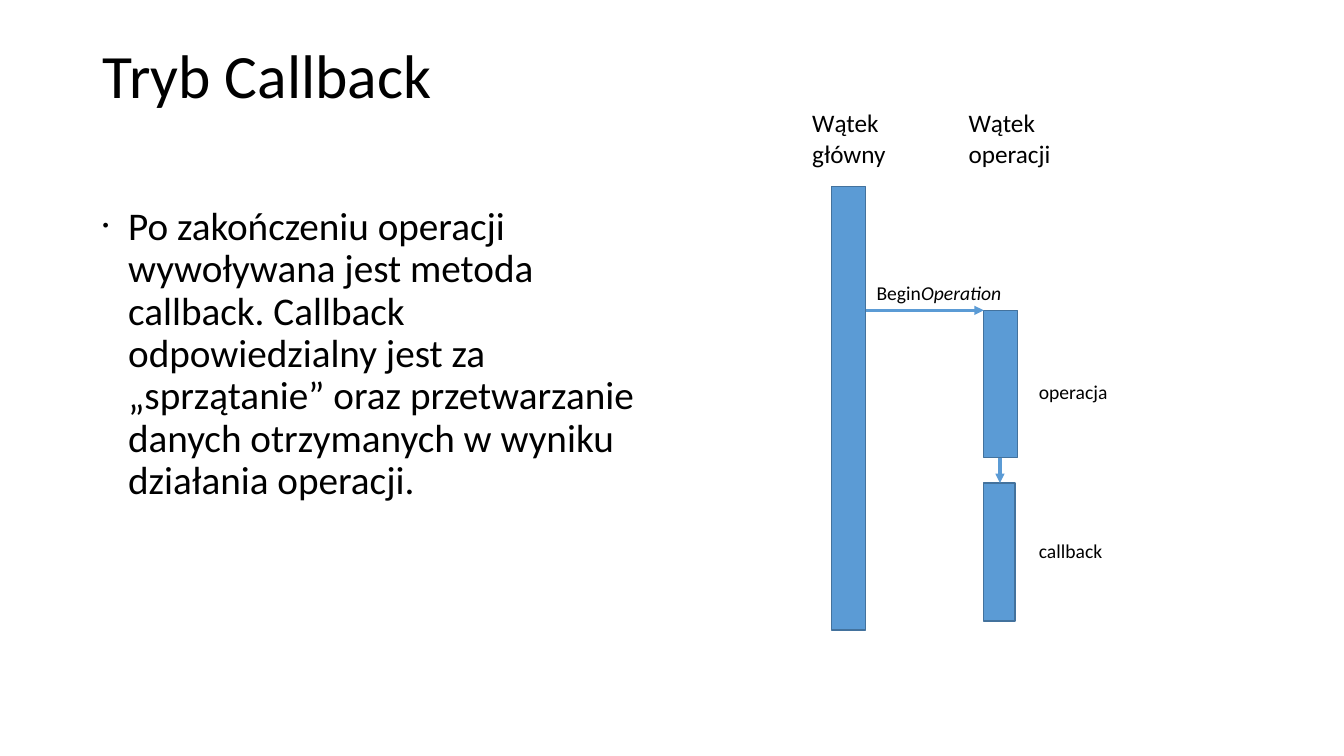
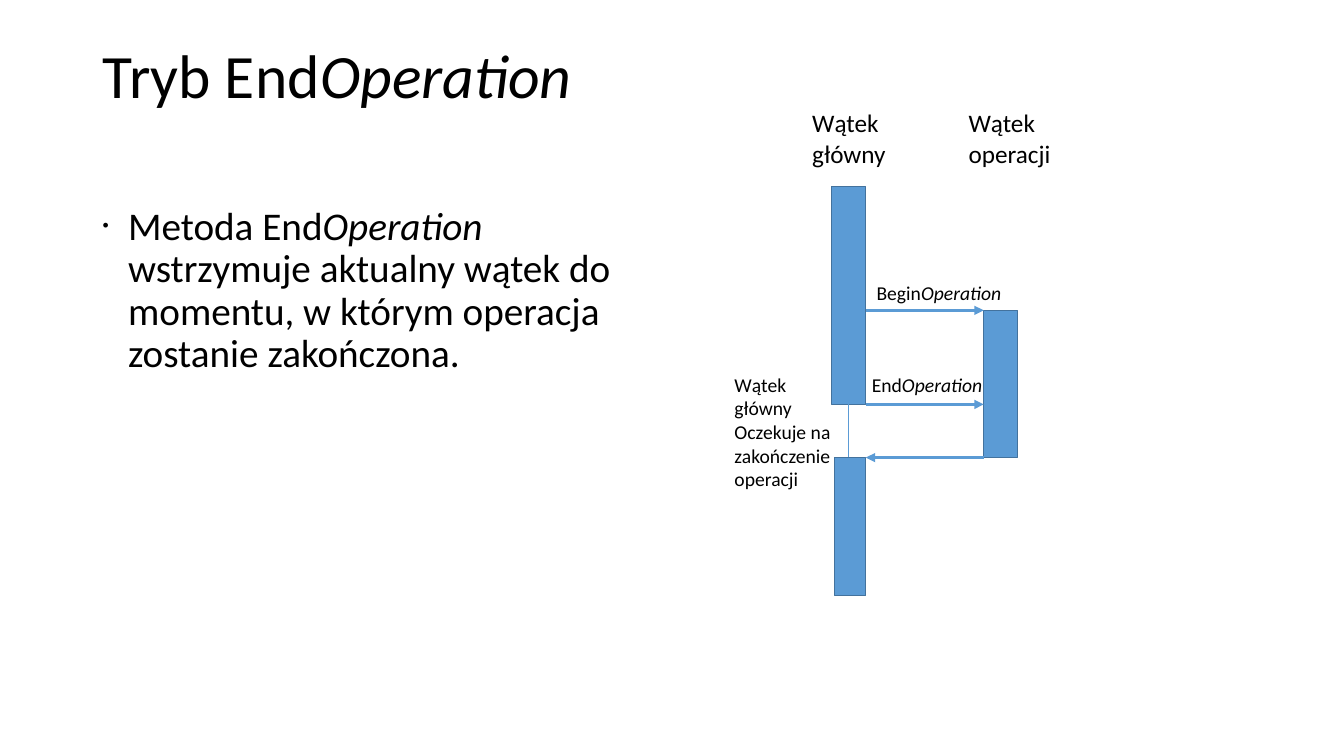
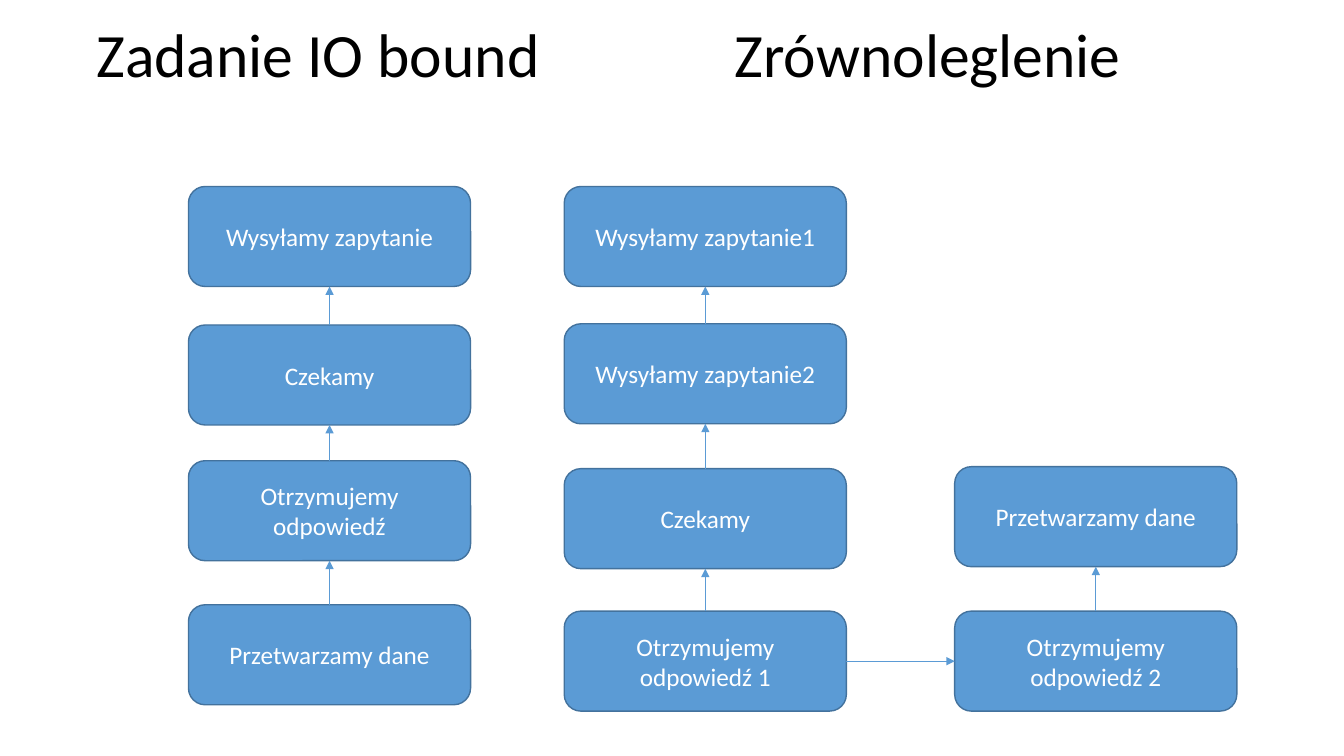
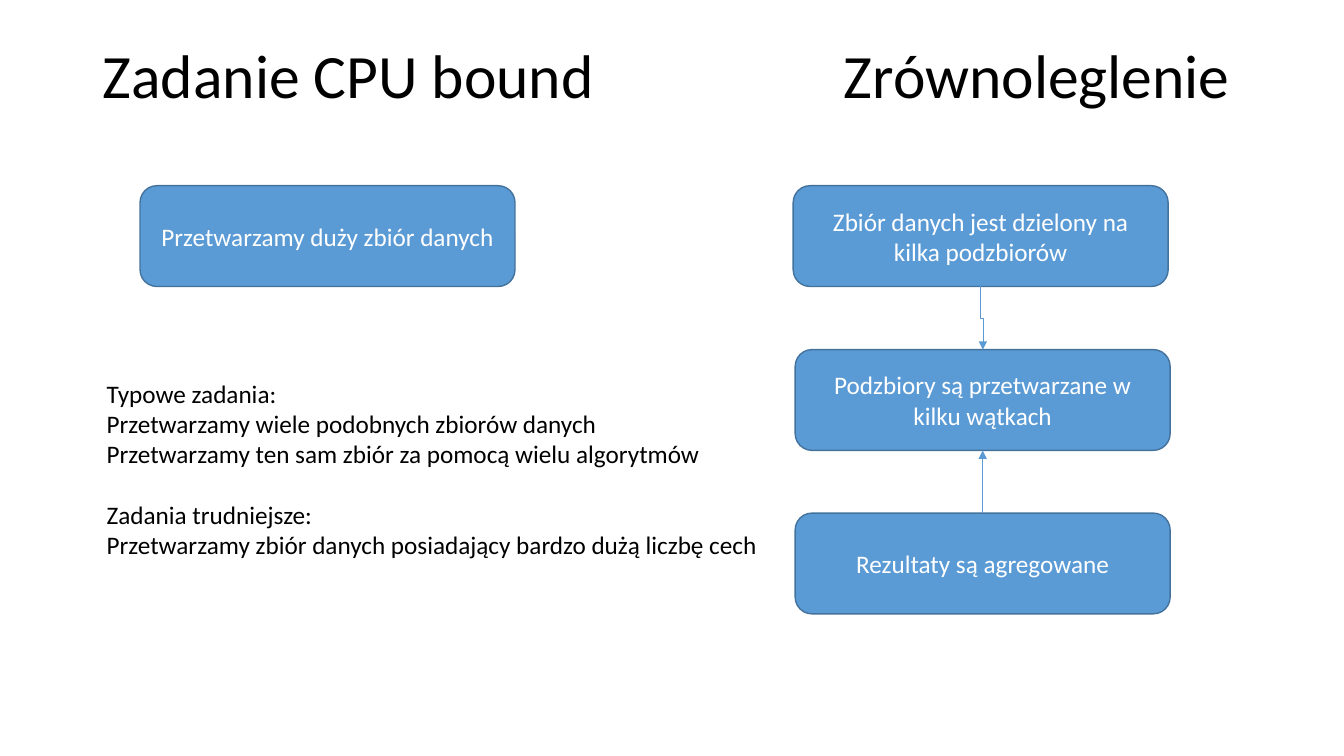
from pptx import Presentation
from pptx import util as u
from pptx.dml import color
from pptx.enum import shapes, text
from pptx.oxml import ns
from lxml import etree

TOP, LEFT, BOTTOM, RIGHT = range(4)


def rgb(value):
    return color.RGBColor.from_string(value)


def add_element(parent, tag, **attributes):
    values = {name: str(value) for name, value in attributes.items()}
    return etree.SubElement(parent, ns.qn(tag), values)


def write(frame, content, size=18, ink="000000", align=text.PP_ALIGN.LEFT,
          anchor=text.MSO_ANCHOR.TOP, spacing=1.0, bullet=False, tab=None, gaps=None):
    frame.word_wrap = True
    frame.auto_size = text.MSO_AUTO_SIZE.NONE
    frame.vertical_anchor = anchor
    for index, line in enumerate(content.split("\n")):
        paragraph = frame.paragraphs[0] if index == 0 else frame.add_paragraph()
        properties = paragraph._p.get_or_add_pPr()
        if bullet:
            indent = u.Cm(0.64)
            properties.set("marL", str(indent))
            properties.set("indent", str(-indent))
            bullet_color = add_element(properties, "a:buClr")
            add_element(bullet_color, "a:srgbClr", val=ink)
            add_element(properties, "a:buSzPct", val=45000)
            add_element(properties, "a:buFont", typeface="Arial")
            add_element(properties, "a:buChar", char="•")
        if tab:
            tabs = add_element(properties, "a:tabLst")
            add_element(tabs, "a:tab", pos=u.Cm(tab), algn="l")
        paragraph.alignment = align
        paragraph.line_spacing = spacing
        if gaps and index in gaps:
            paragraph.space_before = u.Pt(gaps[index])
        for position, piece in enumerate(line.split("*")):
            if piece:
                run = paragraph.add_run()
                run.text = piece
                run.font.name = Deck.font
                run.font.size = u.Pt(size)
                run.font.italic = position % 2 == 1
                run.font.color.rgb = rgb(ink)


class Deck:
    font = "Calibri"
    fill = "5B9BD5"
    outline = "43729D"
    light = "FFFFFF"

    def __init__(self):
        self.presentation = Presentation()
        self.presentation.slide_width = u.Cm(33.87)
        self.presentation.slide_height = u.Cm(19.05)
        self.slide = None

    def start(self, title, left=2.34, top=1.02, tab=None):
        self.slide = self.presentation.slides.add_slide(self.presentation.slide_layouts[5])
        shape = self.slide.shapes.title
        shape.left, shape.top = u.Cm(left), u.Cm(top)
        shape.width, shape.height = u.Cm(29.21), u.Cm(3.68)
        write(shape.text_frame, title, size=44, spacing=0.9, tab=tab)

    def label(self, content, left, top, width, height, **style):
        shape = self.slide.shapes.add_textbox(u.Cm(left), u.Cm(top), u.Cm(width), u.Cm(height))
        write(shape.text_frame, content, **style)

    def note(self, content, left, top, width, height=0.84):
        self.label(content, left, top, width, height, size=14)

    def body(self, content):
        self.label(content, 2.34, 5.08, 13.89, 12.09, size=28, spacing=0.9, bullet=True)

    def block(self, left, top, width, height, kind=shapes.MSO_SHAPE.RECTANGLE):
        shape = self.slide.shapes.add_shape(
            kind, u.Cm(left), u.Cm(top), u.Cm(width), u.Cm(height))
        shape.shadow.inherit = False
        shape.fill.solid()
        shape.fill.fore_color.rgb = rgb(self.fill)
        shape.line.color.rgb = rgb(self.outline)
        shape.line.width = u.Pt(1)
        return shape

    def step(self, content, left, top, width=7.11, height=2.52):
        shape = self.block(left, top, width, height, shapes.MSO_SHAPE.ROUNDED_RECTANGLE)
        write(shape.text_frame, content, ink=self.light,
              align=text.PP_ALIGN.CENTER, anchor=text.MSO_ANCHOR.MIDDLE)
        return shape

    def line(self, x1, y1, x2, y2, width=2.25, arrow=True,
             kind=shapes.MSO_CONNECTOR.STRAIGHT):
        connector = self.slide.shapes.add_connector(
            kind, u.Cm(x1), u.Cm(y1), u.Cm(x2), u.Cm(y2))
        connector.line.color.rgb = rgb(self.fill)
        connector.line.width = u.Pt(width)
        if arrow:
            add_element(connector.line._get_or_add_ln(), "a:tailEnd", type="triangle")
        add_element(connector.element.spPr, "a:effectLst")
        return connector

    def link(self, source, target, source_side=TOP, target_side=BOTTOM):
        connector = self.line(0, 0, 1, 1, width=0.5)
        connector.begin_connect(source, source_side)
        connector.end_connect(target, target_side)

    def drop(self, x1, y1, x2, y2):
        x, y = (x1 + x2) / 2, (y1 + y2) / 2
        across, down = (x2 - x1) / 2, (y2 - y1) / 2
        connector = self.line(x + down, y - across, x - down, y + across,
                              width=0.5, kind=shapes.MSO_CONNECTOR.ELBOW)
        connector.element.spPr.find(ns.qn("a:xfrm")).set("rot", "16200000")

    def column(self, left, steps):
        boxes = [self.step(content, left, top) for content, top in steps]
        for upper, lower in zip(boxes, boxes[1:]):
            self.link(lower, upper)
        return boxes

    def threads(self, main_height):
        self.label("Wątek\ngłówny", 20.22, 2.59, 2.8, 1.78)
        self.label("Wątek operacji", 24.16, 2.59, 2.72, 1.78)
        self.block(20.96, 4.7, 0.86, main_height)
        self.block(24.79, 7.82, 0.86, 3.71)
        self.line(21.82, 7.82, 24.79, 7.82)
        self.note("Begin*Operation*", 21.84, 6.96, 4)


def callback_slide(deck):
    deck.start("Tryb Callback")
    deck.body("Po zakończeniu operacji wywoływana jest metoda callback. Callback "
              "odpowiedzialny jest za „sprzątanie” oraz przetwarzanie danych "
              "otrzymanych w wyniku działania operacji.")
    deck.threads(main_height=11.18)
    deck.block(24.79, 12.17, 0.79, 3.48)
    deck.line(25.2, 11.53, 25.2, 12.17)
    deck.note("operacja", 25.93, 9.45, 2.6)
    deck.note("callback", 25.93, 13.46, 2.6)


def end_operation_slide(deck):
    deck.start("Tryb End*Operation*")
    deck.body("Metoda End*Operation* wstrzymuje aktualny wątek do momentu, "
              "w którym operacja zostanie zakończona.")
    deck.threads(main_height=5.49)
    deck.line(21.39, 10.19, 21.39, 11.53, width=0.5, arrow=False)
    deck.block(21.03, 11.53, 0.79, 3.48)
    deck.line(24.79, 11.53, 21.82, 11.53)
    deck.line(21.82, 10.19, 24.79, 10.19)
    deck.note("End*Operation*", 21.72, 9.27, 3.6)
    deck.note("Wątek główny\nOczekuje na zakończenie\noperacji", 18.26, 9.27, 3.07, 3.23)


def io_bound_slide(deck):
    deck.start("Zadanie IO bound\tZrównoleglenie", left=2.18, top=0.48, tab=16.08)
    deck.column(4.75, [("Wysyłamy zapytanie", 4.7), ("Czekamy", 8.19),
                       ("Otrzymujemy odpowiedź", 11.61), ("Przetwarzamy dane", 15.24)])
    requests = deck.column(14.22, [("Wysyłamy zapytanie1", 4.7), ("Wysyłamy zapytanie2", 8.16),
                                   ("Czekamy", 11.81), ("Otrzymujemy odpowiedź 1", 15.4)])
    answers = deck.column(24.06, [("Przetwarzamy dane", 11.76),
                                  ("Otrzymujemy odpowiedź 2", 15.4)])
    deck.link(requests[-1], answers[-1], RIGHT, LEFT)


def cpu_bound_slide(deck):
    deck.start("Zadanie CPU bound\tZrównoleglenie", tab=18.67)
    size = {"width": 9.45, "height": 2.54}
    deck.step("Przetwarzamy duży zbiór danych", 3.53, 4.68, **size)
    deck.step("Zbiór danych jest dzielony na kilka podzbiorów", 19.99, 4.68, **size)
    threads = deck.step("Podzbiory są przetwarzane w kilku wątkach", 20.04, 8.81, **size)
    results = deck.step("Rezultaty są agregowane", 20.04, 12.93, **size)
    deck.drop(24.71, 7.22, 24.77, 8.81)
    deck.link(results, threads)
    deck.label("Typowe zadania:\n"
               "Przetwarzamy wiele podobnych zbiorów danych\n"
               "Przetwarzamy ten sam zbiór za pomocą wielu algorytmów\n"
               "Zadania trudniejsze:\n"
               "Przetwarzamy zbiór danych posiadający bardzo dużą liczbę cech",
               2.44, 9.4, 17.4, 5.59, gaps={3: 22})


def main():
    deck = Deck()
    for build in (callback_slide, end_operation_slide, io_bound_slide, cpu_bound_slide):
        build(deck)
    deck.presentation.save("out.pptx")


if __name__ == "__main__":
    main()
